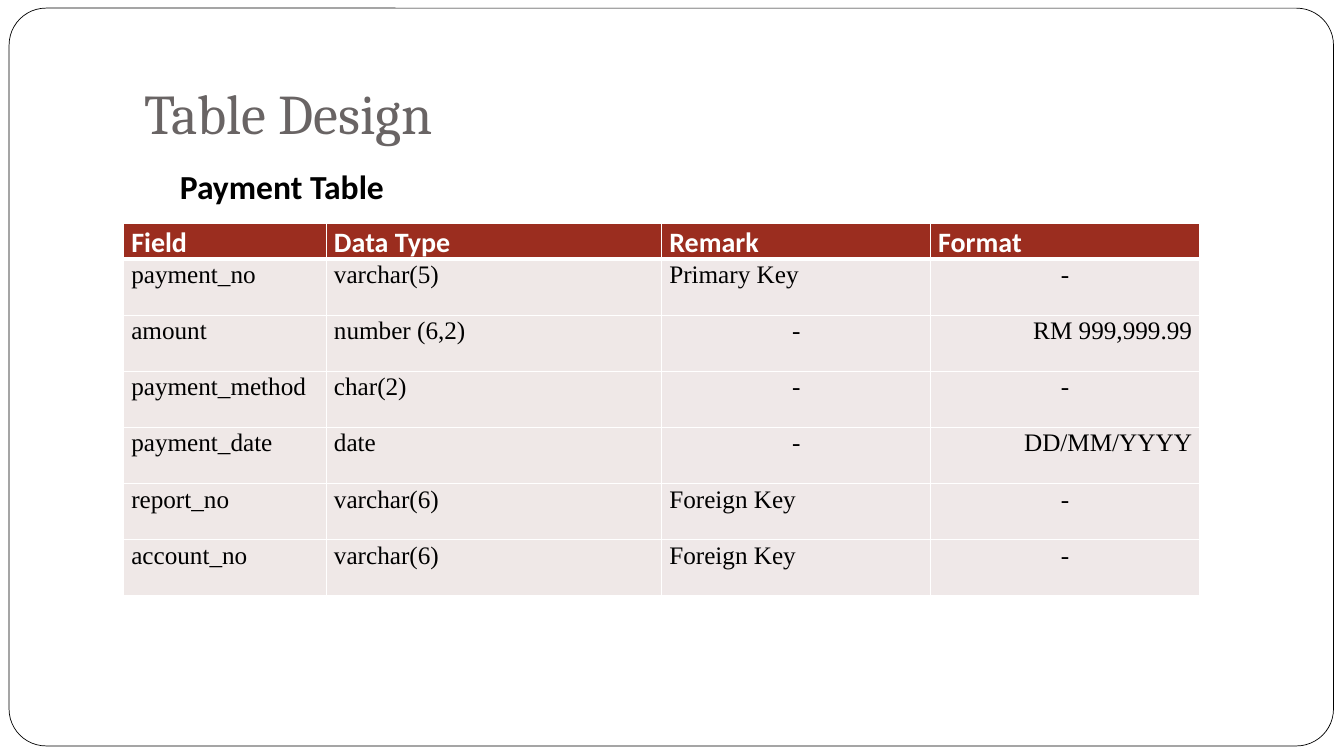
from lxml import etree
from pptx import Presentation
from pptx.dml.color import RGBColor
from pptx.enum import shapes, text
from pptx.oxml import ns
from pptx.util import Pt

COLORS = {
    "white": "FFFFFF",
    "black": "000000",
    "title": "696464",
    "header": "9B2D1F",
    "left_cells": "EFE8E7",
    "right_cells": "EFE8E8",
}
HEADINGS = ["Field", "Data Type", "Remark", "Format"]
FIELDS = [
    ["payment_no", "varchar(5)", "Primary Key", "-"],
    ["amount", "number (6,2)", "-", "RM 999,999.99"],
    ["payment_method", "char(2)", "-", "-"],
    ["payment_date", "date", "-", "DD/MM/YYYY"],
    ["report_no", "varchar(6)", "Foreign Key", "-"],
    ["account_no", "varchar(6)", "Foreign Key", "-"],
]
COLUMN_WIDTHS = [144.8, 239.5, 192, 192]
HEADER_HEIGHT, ROW_HEIGHT = 20.4, 40.1


def color(name):
    return RGBColor.from_string(COLORS[name])


def style_text(para, font_name, size, color_name, bold=False):
    for span in para.runs:
        span.font.name = font_name
        span.font.size = Pt(size)
        span.font.bold = bold
        span.font.color.rgb = color(color_name)


def set_margins(area, left, top, right, bottom):
    area.margin_left, area.margin_top = Pt(left), Pt(top)
    area.margin_right, area.margin_bottom = Pt(right), Pt(bottom)


def place_title(page, words):
    title = page.shapes.title
    title.left, title.top, title.width, title.height = Pt(96), Pt(21.6), Pt(816), Pt(90)
    frame = title.text_frame
    frame.text = words
    frame.word_wrap = True
    frame.auto_size = text.MSO_AUTO_SIZE.NONE
    frame.vertical_anchor = text.MSO_ANCHOR.BOTTOM
    set_margins(frame, 7.2, 3.6, 7.2, 7.2)
    frame.paragraphs[0].alignment = text.PP_ALIGN.LEFT
    style_text(frame.paragraphs[0], "Cambria", 40, "title")


def add_border(page):
    border = page.shapes.add_shape(
        shapes.MSO_SHAPE.ROUNDED_RECTANGLE, Pt(6.5), Pt(5.8), Pt(946), Pt(527))
    border.adjustments[0] = 0.05
    border.shadow.inherit = False
    border.fill.solid()
    border.fill.fore_color.rgb = color("white")
    border.line.color.rgb = color("black")
    border.line.width = Pt(0.5)
    # Keep the border behind the title
    page.shapes.title.element.addprevious(border.element)


def add_subtitle(page, words):
    box = page.shapes.add_textbox(Pt(96), Pt(114.8), Pt(816), Pt(40))
    frame = box.text_frame
    frame.word_wrap = True
    set_margins(frame, 32.4, 3.6, 7.2, 3.6)
    frame.text = words
    style_text(frame.paragraphs[0], "Calibri", 24, "black", bold=True)


def set_borders(cell, bottom_width):
    properties = cell._tc.get_or_add_tcPr()
    widths = {"lnL": 1, "lnR": 1, "lnT": 1, "lnB": bottom_width}
    for position, (side, width) in enumerate(widths.items()):
        line = etree.Element(ns.qn(f"a:{side}"), w=str(Pt(width)))
        fill = etree.SubElement(line, ns.qn("a:solidFill"))
        etree.SubElement(fill, ns.qn("a:srgbClr"), val=COLORS["white"])
        properties.insert(position, line)


def cell_alignment(words, column):
    if words == "-":
        return text.PP_ALIGN.CENTER
    return text.PP_ALIGN.RIGHT if column == 3 else text.PP_ALIGN.LEFT


def fill_cell(cell, words, alignment, fill_name):
    cell.fill.solid()
    cell.fill.fore_color.rgb = color(fill_name)
    set_margins(cell, 5.3, 0, 5.3, 0)
    cell.text = words
    para = cell.text_frame.paragraphs[0]
    para.alignment = alignment
    para.line_spacing = 1.07
    return para


def add_field_table(page):
    height = HEADER_HEIGHT + ROW_HEIGHT * len(FIELDS)
    table = page.shapes.add_table(
        len(FIELDS) + 1, len(HEADINGS),
        Pt(88.5), Pt(159.4), Pt(sum(COLUMN_WIDTHS)), Pt(height)).table
    table.horz_banding = False
    for column, width in zip(table.columns, COLUMN_WIDTHS):
        column.width = Pt(width)
    for row in table.rows:
        row.height = Pt(ROW_HEIGHT)
    table.rows[0].height = Pt(HEADER_HEIGHT)

    # Header row
    for column, words in enumerate(HEADINGS):
        cell = table.cell(0, column)
        para = fill_cell(cell, words, text.PP_ALIGN.LEFT, "header")
        style_text(para, "Calibri", 20, "white", bold=True)
        set_borders(cell, 3)

    # Field rows
    for row, field in enumerate(FIELDS, 1):
        for column, words in enumerate(field):
            cell = table.cell(row, column)
            fill_name = "left_cells" if column < 2 else "right_cells"
            para = fill_cell(cell, words, cell_alignment(words, column), fill_name)
            style_text(para, "Times New Roman", 18, "black")
            set_borders(cell, 1)
    # The first field row shares the thick line under the header
    for column in range(len(HEADINGS)):
        top_line = table.cell(1, column)._tc.tcPr.find(ns.qn("a:lnT"))
        top_line.set("w", str(Pt(3)))


def main():
    deck = Presentation()
    deck.slide_width, deck.slide_height = Pt(960), Pt(540)
    page = deck.slides.add_slide(deck.slide_layouts[5])
    place_title(page, "Table Design")
    add_border(page)
    add_subtitle(page, "Payment Table")
    add_field_table(page)
    deck.save("out.pptx")


if __name__ == "__main__":
    main()
